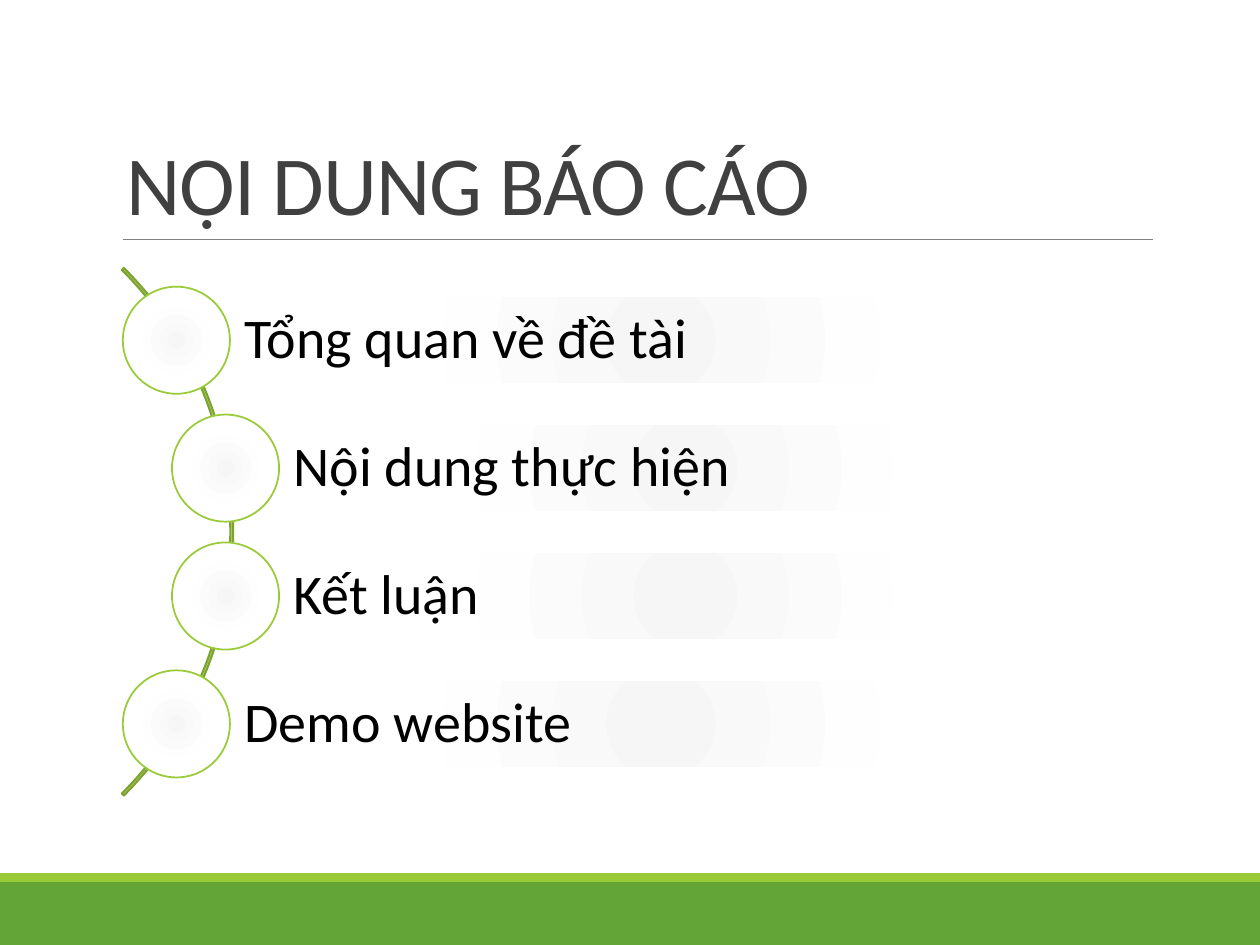
from dataclasses import dataclass

from pptx import Presentation
from pptx.dml.color import RGBColor
from pptx.enum.shapes import MSO_CONNECTOR, MSO_SHAPE
from pptx.enum.text import MSO_ANCHOR, PP_ALIGN
from pptx.oxml import parse_xml
from pptx.oxml.ns import nsdecls, qn
from pptx.util import Inches, Pt

RECTANGLE, OVAL, ARC = MSO_SHAPE.RECTANGLE, MSO_SHAPE.OVAL, MSO_SHAPE.BLOCK_ARC
STRAIGHT = MSO_CONNECTOR.STRAIGHT
LEFT = PP_ALIGN.LEFT
MIDDLE, BOTTOM = MSO_ANCHOR.MIDDLE, MSO_ANCHOR.BOTTOM


@dataclass(frozen=True)
class Theme:
    font: str = "Calibri"
    title_size: float = 48
    item_size: float = 32
    title: str = "404040"
    text: str = "000000"
    rule: str = "808080"
    band: str = "63A537"
    accent: str = "99CB38"
    arc: str = "7BA32D"
    glow: tuple = ((0, "F6F6F6"), (45, "FEFEFE"), (100, "FFFFFF"))


@dataclass(frozen=True)
class Item:
    label: str
    center_x: float


THEME = Theme()
WIDTH, HEIGHT = 10, 7.5
OUTER_X, INNER_X = 1.4, 1.79
ITEMS = (
    Item("Tổng quan về đề tài", OUTER_X),
    Item("Nội dung thực hiện", INNER_X),
    Item("Kết luận", INNER_X),
    Item("Demo website", OUTER_X),
)
FIRST_Y, ROW_STEP = 2.7, 1.015
BAR_RIGHT, BAR_HEIGHT, CIRCLE = 9.09, 0.68, 0.85


def add_box(slide, kind, left: float, top: float, width: float, height: float,
            fill: str = "", line: str = "", line_width: float = 1):
    box = slide.shapes.add_shape(
        kind, Inches(left), Inches(top), Inches(width), Inches(height))
    box.shadow.inherit = False
    if fill:
        box.fill.solid()
        box.fill.fore_color.rgb = RGBColor.from_string(fill)
    else:
        box.fill.background()
    if line:
        box.line.color.rgb = RGBColor.from_string(line)
        box.line.width = Pt(line_width)
    else:
        box.line.fill.background()
    return box


def set_glow(box) -> None:
    stops = "".join(
        f'<a:gs pos="{share * 1000}"><a:srgbClr val="{color}"/></a:gs>'
        for share, color in THEME.glow)
    gradient = parse_xml(
        f'<a:gradFill {nsdecls("a")} rotWithShape="1"><a:gsLst>{stops}</a:gsLst>'
        '<a:path path="circle"><a:fillToRect l="100000" t="100000" '
        'r="100000" b="100000"/></a:path></a:gradFill>')
    properties = box.element.spPr
    properties.replace(properties.find(qn("a:noFill")), gradient)


def set_text(box, text: str, size: float, color: str, spacing: float, anchor):
    frame = box.text_frame
    frame.text = text
    frame.word_wrap = True
    frame.vertical_anchor = anchor
    para = frame.paragraphs[0]
    para.alignment = LEFT
    para.line_spacing = spacing
    span = para.runs[0]
    span.font.name = THEME.font
    span.font.size = Pt(size)
    span.font.color.rgb = RGBColor.from_string(color)
    return span


def add_rule(slide, left: float, right: float, y: float) -> None:
    rule = slide.shapes.add_connector(
        STRAIGHT, Inches(left), Inches(y), Inches(right), Inches(y))
    rule.line.color.rgb = RGBColor.from_string(THEME.rule)
    rule.line.width = Pt(0.5)
    rule.element.spPr.append(parse_xml(f'<a:effectLst {nsdecls("a")}/>'))


def add_title(slide, text: str) -> None:
    title = slide.shapes.title
    title.left, title.top = Inches(0.9), Inches(0.31)
    title.width, title.height = Inches(8.25), Inches(1.59)
    span = set_text(title, text, THEME.title_size, THEME.title, 0.85, BOTTOM)
    span.font._element.set("spc", "-50")


def add_arc(slide) -> None:
    arc = add_box(slide, ARC, -4.07, 1.26, 5.92, 5.92, line=THEME.arc, line_width=1.25)
    for index, value in enumerate((189, 27, 0.00365)):
        arc.adjustments[index] = value


def add_item(slide, item: Item, center_y: float) -> None:
    bar = add_box(slide, RECTANGLE, item.center_x, center_y - BAR_HEIGHT / 2,
                  BAR_RIGHT - item.center_x, BAR_HEIGHT)
    set_glow(bar)
    set_text(bar, item.label, THEME.item_size, THEME.text, 0.9, MIDDLE)
    frame = bar.text_frame
    frame.margin_left = Inches(0.54)
    frame.margin_top = frame.margin_right = frame.margin_bottom = Inches(0.09)
    circle = add_box(slide, OVAL, item.center_x - CIRCLE / 2, center_y - CIRCLE / 2,
                     CIRCLE, CIRCLE, line=THEME.accent)
    set_glow(circle)


def build() -> None:
    deck = Presentation()
    deck.slide_width, deck.slide_height = Inches(WIDTH), Inches(HEIGHT)
    page = deck.slides.add_slide(deck.slide_layouts[5])
    add_box(page, RECTANGLE, 0, 7, WIDTH, 0.5, fill=THEME.band)
    add_box(page, RECTANGLE, 0, 6.93, WIDTH, 0.07, fill=THEME.accent)
    add_rule(page, 0.98, 9.15, 1.9)
    add_title(page, "NỘI DUNG BÁO CÁO")
    add_arc(page)
    for row, item in enumerate(ITEMS):
        add_item(page, item, FIRST_Y + row * ROW_STEP)
    deck.save("out.pptx")


build()
